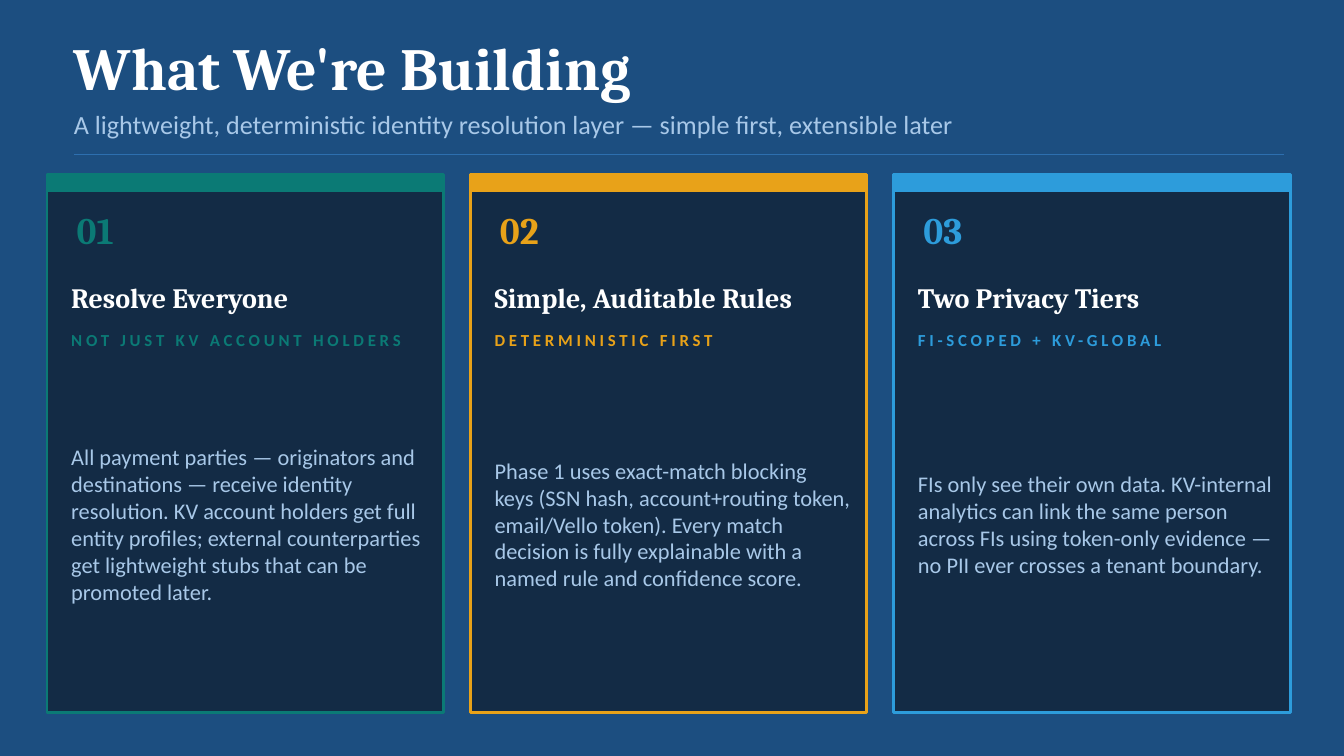
from lxml import etree
from pptx import Presentation
from pptx.dml.color import RGBColor
from pptx.enum.shapes import MSO_CONNECTOR, MSO_SHAPE
from pptx.enum.text import MSO_ANCHOR
from pptx.oxml.ns import qn
from pptx.util import Pt

RECTANGLE = MSO_SHAPE.RECTANGLE
STRAIGHT = MSO_CONNECTOR.STRAIGHT
MIDDLE = MSO_ANCHOR.MIDDLE

BACKGROUND, PANEL, RULE = "1C4E80", "132B45", "2D6FAF"
WHITE, PALE_BLUE = "FFFFFF", "A8C8E8"
HEADING_FONT, BODY_FONT = "Cambria", "Calibri"

TITLE = {"name": HEADING_FONT, "size": Pt(32), "bold": True}
SUBTITLE = {"name": BODY_FONT, "size": Pt(14)}
NUMBER = {"name": HEADING_FONT, "size": Pt(20), "bold": True}
HEADING = {"name": HEADING_FONT, "size": Pt(15), "bold": True}
TAG = {"name": BODY_FONT, "size": Pt(9), "bold": True}
BODY = {"name": BODY_FONT, "size": Pt(12)}

CARD_LEFT, CARD_TOP, CARD_WIDTH, CARD_HEIGHT = 25.2, 93.6, 212.4, 288
CARD_GAP = 14.4
BAR_HEIGHT = 8.64
TEXT_INDENT, TEXT_WIDTH = 12.96, 190.8
TAG_SPACING = 2

CARDS = [
    ("0B7A75", "Resolve Everyone", "NOT JUST KV ACCOUNT HOLDERS",
     "All payment parties — originators and destinations — receive identity "
     "resolution. KV account holders get full entity profiles; external "
     "counterparties get lightweight stubs that can be promoted later."),
    ("E8A219", "Simple, Auditable Rules", "DETERMINISTIC FIRST",
     "Phase 1 uses exact-match blocking keys (SSN hash, account+routing token, "
     "email/Vello token). Every match decision is fully explainable with a "
     "named rule and confidence score."),
    ("2D9CDB", "Two Privacy Tiers", "FI-SCOPED + KV-GLOBAL",
     "FIs only see their own data. KV-internal analytics can link the same "
     "person across FIs using token-only evidence — no PII ever crosses a "
     "tenant boundary."),
]


def color(value):
    """Turn a hex string into a colour."""
    return RGBColor.from_string(value)


def add_text(slide, text, box, font_format, text_color, spacing=0):
    """Add a vertically centred text box without margins."""
    shape = slide.shapes.add_textbox(*map(Pt, box))
    frame = shape.text_frame
    frame_format = {"word_wrap": True, "vertical_anchor": MIDDLE,
                    "margin_left": 0, "margin_right": 0,
                    "margin_top": 0, "margin_bottom": 0}
    for name, value in frame_format.items():
        setattr(frame, name, value)
    run = frame.paragraphs[0].add_run()
    run.text = text
    for name, value in font_format.items():
        setattr(run.font, name, value)
    run.font.color.rgb = color(text_color)
    if spacing:
        run._r.get_or_add_rPr().set("spc", str(spacing * 100))


def add_rectangle(slide, box, fill, line, line_width):
    """Add a filled and outlined rectangle."""
    shape = slide.shapes.add_shape(RECTANGLE, *map(Pt, box))
    shape.shadow.inherit = False
    shape.fill.solid()
    shape.fill.fore_color.rgb = color(fill)
    shape.line.color.rgb = color(line)
    shape.line.width = Pt(line_width)


def add_rule(slide, left, right, top):
    """Add a thin horizontal line."""
    connector = slide.shapes.add_connector(
        STRAIGHT, Pt(left), Pt(top), Pt(right), Pt(top))
    connector.line.color.rgb = color(RULE)
    connector.line.width = Pt(1)
    etree.SubElement(connector._element.spPr, qn("a:effectLst"))


def add_card(slide, index, accent, heading, tag, body):
    """Add a numbered card with an accent bar."""
    left = CARD_LEFT + index * (CARD_WIDTH + CARD_GAP)
    text_left = left + TEXT_INDENT
    add_rectangle(slide, (left, CARD_TOP, CARD_WIDTH, CARD_HEIGHT),
                  PANEL, accent, 1.5)
    add_rectangle(slide, (left, CARD_TOP, CARD_WIDTH, BAR_HEIGHT),
                  accent, accent, 1)
    add_text(slide, f"{index + 1:02}", (left + 15.84, 108, 34.56, 30.24),
             NUMBER, accent)
    add_text(slide, heading, (text_left, 145.44, TEXT_WIDTH, 27.36),
             HEADING, WHITE)
    add_text(slide, tag, (text_left, 174.24, TEXT_WIDTH, 15.84),
             TAG, accent, TAG_SPACING)
    add_text(slide, body, (text_left, 194.4, TEXT_WIDTH, 172.8),
             BODY, PALE_BLUE)


def main():
    """Build the slide and save the presentation."""
    presentation = Presentation()
    presentation.slide_width = Pt(720)
    presentation.slide_height = Pt(405)
    slide = presentation.slides.add_slide(presentation.slide_layouts[6])
    slide.background.fill.solid()
    slide.background.fill.fore_color.rgb = color(BACKGROUND)
    add_text(slide, "What We're Building", (39.6, 15.84, 648, 39.6),
             TITLE, WHITE)
    add_text(slide, "A lightweight, deterministic identity resolution layer "
             "— simple first, extensible later", (39.6, 55.44, 648, 21.6),
             SUBTITLE, PALE_BLUE)
    add_rule(slide, 39.6, 687.6, 82.8)
    for index, card in enumerate(CARDS):
        add_card(slide, index, *card)
    presentation.save("out.pptx")


if __name__ == "__main__":
    main()
